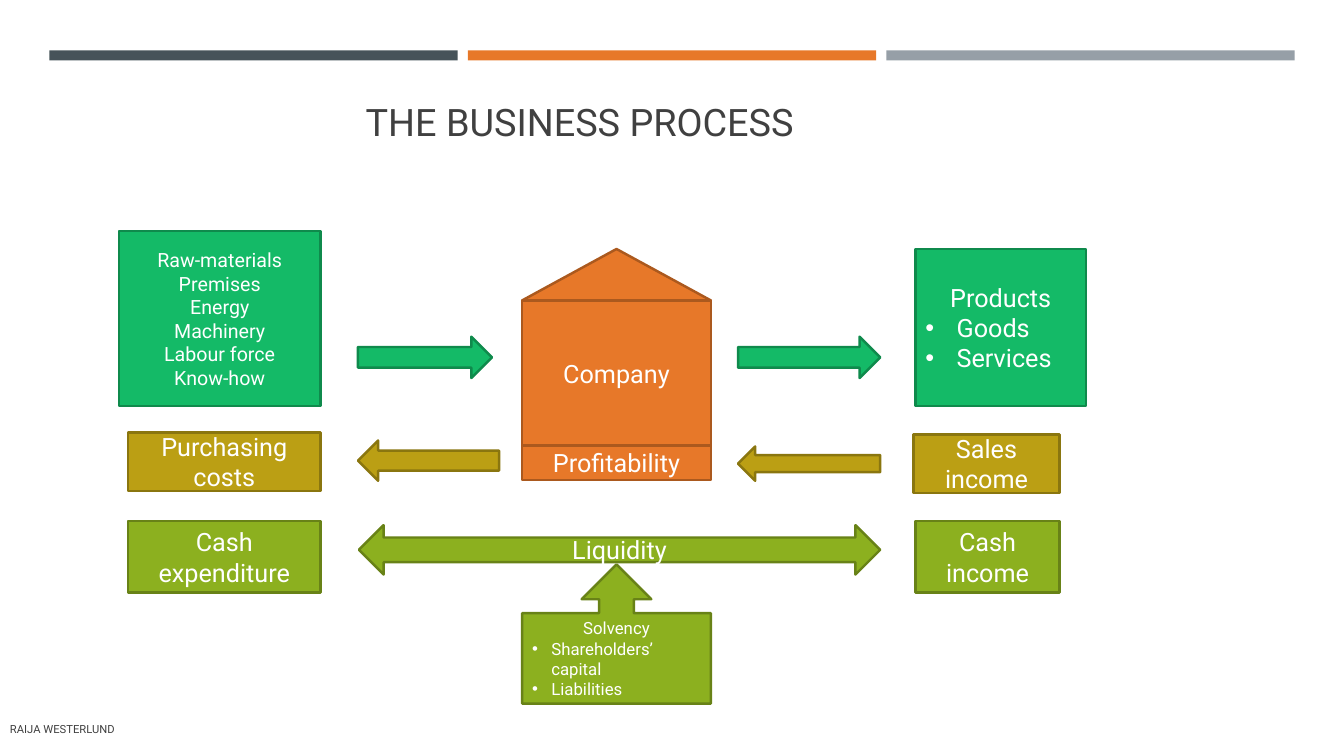
"""Builds the business process slide."""
from collections import namedtuple

from lxml import etree
from pptx import Presentation
from pptx import util as u
from pptx.dml.color import RGBColor
from pptx.enum import shapes, text
from pptx.oxml import ns

PX = 9144
FONT = "Roboto"
SLATE = RGBColor(0x46, 0x53, 0x59)
GREY = RGBColor(0x96, 0x9F, 0xA7)
INK = RGBColor(0x40, 0x40, 0x40)
WHITE = RGBColor(0xFF, 0xFF, 0xFF)
ORANGE = RGBColor(0xE7, 0x78, 0x29)
ORANGE_EDGE = RGBColor(0xAB, 0x59, 0x1E)
GREEN = RGBColor(0x14, 0xBA, 0x67)
GREEN_EDGE = RGBColor(0x0F, 0x8A, 0x4C)
GOLD = RGBColor(0xBB, 0x9F, 0x14)
GOLD_EDGE = RGBColor(0x8A, 0x76, 0x0F)
LIME = RGBColor(0x8C, 0xB0, 0x1F)
LIME_EDGE = RGBColor(0x68, 0x82, 0x17)

COMPANY = (ORANGE, ORANGE_EDGE)
GOODS = (GREEN, GREEN_EDGE)
INCOME = (GOLD, GOLD_EDGE)
CASH = (LIME, LIME_EDGE)
KIND = shapes.MSO_SHAPE

Box = namedtuple("Box", "left top width height")


def within(box, left, top, width, height):
    """Return a box offset from the corner of another box."""
    return Box(box.left + left, box.top + top, width, height)


def emu(box):
    """Return the four lengths of a box in EMU."""
    return [u.Emu(length * PX) for length in box]


def write_line(paragraph, line, size, color, align):
    """Write one run of formatted text into a paragraph."""
    paragraph.alignment = align
    run = paragraph.add_run()
    run.text = line
    run.font.size = u.Pt(size)
    run.font.name = FONT
    run.font.color.rgb = color


def add_bullet(paragraph, indent):
    """Give a paragraph a round bullet with a hanging indent."""
    properties = paragraph._p.get_or_add_pPr()
    properties.set("marL", str(indent * PX))
    properties.set("indent", str(-indent * PX))
    etree.SubElement(properties, ns.qn("a:buFont")).set("typeface", "Arial")
    etree.SubElement(properties, ns.qn("a:buChar")).set("char", "•")


def add_figure(slide, kind, box, colors, lines=(), size=18, bullets=(), indent=0):
    """Add an outlined shape with centred lines followed by bulleted ones."""
    fill, edge = colors
    shape = slide.shapes.add_shape(kind, *emu(box))
    shape.shadow.inherit = False
    shape.fill.solid()
    shape.fill.fore_color.rgb = fill
    shape.line.color.rgb = edge
    shape.line.width = u.Pt(1.75)
    frame = shape.text_frame
    frame.word_wrap = True
    frame.vertical_anchor = text.MSO_ANCHOR.MIDDLE
    for index, line in enumerate([*lines, *bullets]):
        paragraph = frame.add_paragraph() if index else frame.paragraphs[0]
        bulleted = index >= len(lines)
        align = text.PP_ALIGN.LEFT if bulleted else text.PP_ALIGN.CENTER
        write_line(paragraph, line, size, WHITE, align)
        if bulleted:
            add_bullet(paragraph, indent)
    return shape


def add_header_bars(slide, box):
    """Add three equal colour bars across the box."""
    gap = 10
    width = (box.width - 2 * gap) // 3
    for index, color in enumerate((SLATE, ORANGE, GREY)):
        bar_box = within(box, index * (width + gap), 0, width, box.height)
        bar = slide.shapes.add_shape(KIND.RECTANGLE, *emu(bar_box))
        bar.shadow.inherit = False
        bar.fill.solid()
        bar.fill.fore_color.rgb = color
        bar.line.fill.background()


def add_title(slide, box):
    """Move and fill the title placeholder."""
    title = slide.shapes.title
    title.left, title.top, title.width, title.height = emu(box)
    frame = title.text_frame
    frame.auto_size = text.MSO_AUTO_SIZE.NONE
    frame.vertical_anchor = text.MSO_ANCHOR.BOTTOM
    paragraph = frame.paragraphs[0]
    paragraph.line_spacing = 0.9
    write_line(paragraph, "THE BUSINESS PROCESS", 27, INK, text.PP_ALIGN.CENTER)


def add_inputs(slide, box):
    """Add the resources and what they cost."""
    resources = ("Raw-materials", "Premises", "Energy",
                 "Machinery", "Labour force", "Know-how")
    add_figure(slide, KIND.RECTANGLE, within(box, 0, 0, box.width, 174),
               GOODS, resources, size=14)
    add_figure(slide, KIND.RECTANGLE, within(box, 9, 200, 191, 58),
               INCOME, ["Purchasing costs"])
    add_figure(slide, KIND.RECTANGLE, within(box, 9, 288, 191, 71),
               CASH, ["Cash expenditure"])


def add_company(slide, box):
    """Add the company house with its roof and profitability base."""
    add_figure(slide, KIND.RECTANGLE, within(box, 0, 51, box.width, 146),
               COMPANY, ["Company"])
    add_figure(slide, KIND.ISOSCELES_TRIANGLE, within(box, 0, 0, box.width, 51), COMPANY)
    add_figure(slide, KIND.RECTANGLE, within(box, 0, 195, box.width, 34),
               COMPANY, ["Profitability"])


def add_outputs(slide, box):
    """Add the products and what they earn."""
    add_figure(slide, KIND.RECTANGLE, within(box, 2, 0, 169, 156), GOODS,
               ["Products"], bullets=("Goods", "Services"), indent=31)
    add_figure(slide, KIND.RECTANGLE, within(box, 0, 184, 145, 58),
               INCOME, ["Sales income"])
    add_figure(slide, KIND.RECTANGLE, within(box, 2, 270, 143, 71),
               CASH, ["Cash income"])


def add_flows(slide, box):
    """Add the arrows that link inputs, company and outputs."""
    add_figure(slide, KIND.RIGHT_ARROW, within(box, 0, 0, 133, 41), GOODS)
    add_figure(slide, KIND.RIGHT_ARROW, within(box, 377, 0, 141, 41), GOODS)
    add_figure(slide, KIND.LEFT_ARROW, within(box, 0, 103, 140, 40), INCOME)
    add_figure(slide, KIND.LEFT_ARROW, within(box, 377, 109, 141, 34), INCOME)
    add_figure(slide, KIND.LEFT_RIGHT_ARROW, within(box, 1, 187, 517, 49),
               CASH, ["Liquidity"])


def add_solvency(slide, box):
    """Add the callout that supports liquidity."""
    add_figure(slide, KIND.UP_ARROW_CALLOUT, box, CASH, ["Solvency"], size=12,
               bullets=("Shareholders’ capital", "Liabilities"), indent=19)


def add_footer(slide, box):
    """Add the author line."""
    frame = slide.shapes.add_textbox(*emu(box)).text_frame
    frame.word_wrap = True
    frame.vertical_anchor = text.MSO_ANCHOR.MIDDLE
    write_line(frame.paragraphs[0], "RAIJA WESTERLUND", 8, INK, text.PP_ALIGN.LEFT)


def main():
    """Build and save the presentation."""
    presentation = Presentation()
    presentation.slide_width = u.Emu(1333 * PX)
    presentation.slide_height = u.Emu(750 * PX)
    slide = presentation.slides.add_slide(presentation.slide_layouts[5])
    add_header_bars(slide, Box(49, 50, 1235, 10))
    add_title(slide, Box(0, 40, 1150, 109))
    add_inputs(slide, Box(118, 229, 200, 359))
    add_company(slide, Box(518, 247, 187, 229))
    add_outputs(slide, Box(906, 247, 171, 341))
    add_flows(slide, Box(355, 334, 518, 236))
    add_solvency(slide, Box(518, 560, 187, 138))
    add_footer(slide, Box(0, 703, 756, 40))
    presentation.save("out.pptx")


if __name__ == "__main__":
    main()
